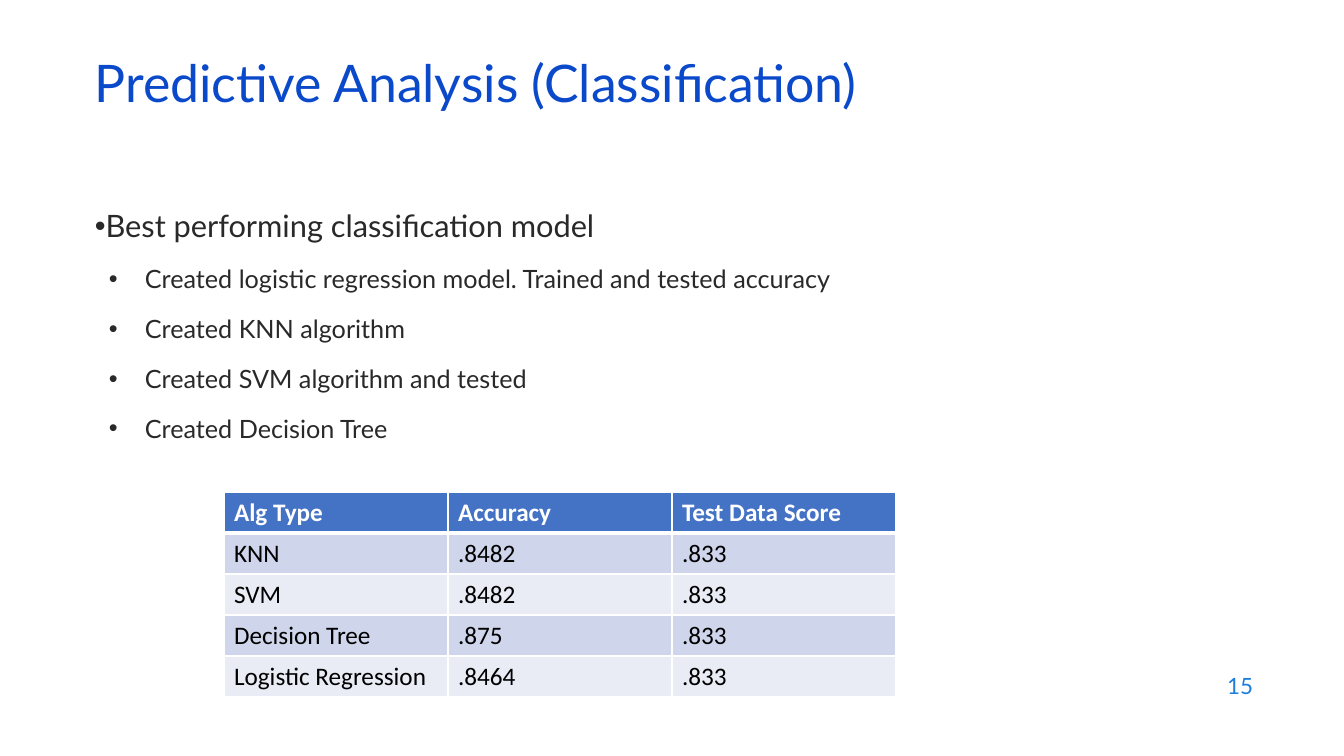
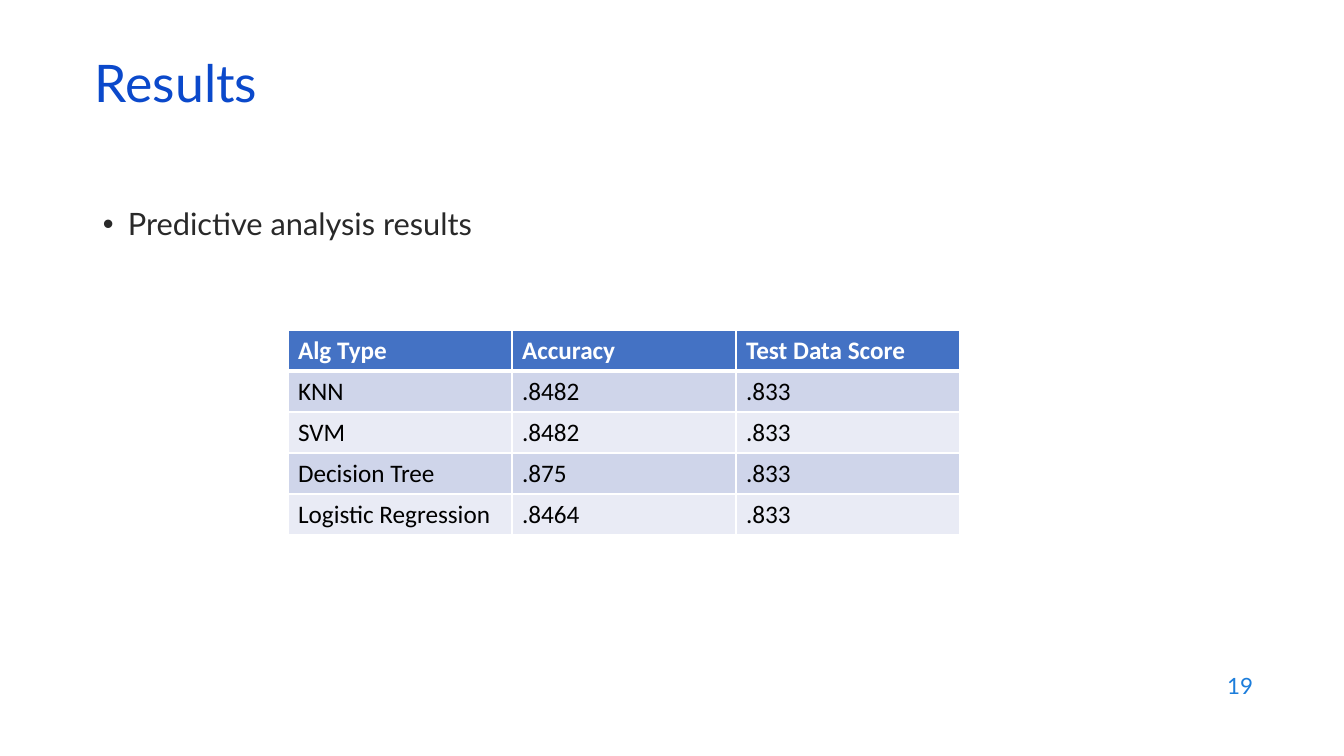
from dataclasses import dataclass

from lxml import etree
from pptx import Presentation
from pptx.dml.color import RGBColor
from pptx.enum.text import MSO_ANCHOR, PP_ALIGN
from pptx.oxml.ns import qn
from pptx.util import Emu, Pt

TOP, MIDDLE = MSO_ANCHOR.TOP, MSO_ANCHOR.MIDDLE
LEFT, RIGHT = PP_ALIGN.LEFT, PP_ALIGN.RIGHT
EMU_PER_PX = 914400 / 100.8
SLIDE_SIZE = (1344, 756)


@dataclass(frozen=True)
class Theme:
    text_font: str = "Lato"
    table_font: str = "Calibri"
    title: str = "0B49CB"
    body: str = "292929"
    number: str = "1C7DDB"
    header_fill: str = "4472C4"
    header_text: str = "FFFFFF"
    cell_text: str = "000000"
    bands: tuple = ("CFD5EA", "E9EBF5")
    rule: str = "FFFFFF"
    title_pt: int = 37
    bullet_pt: int = 22
    sub_bullet_pt: int = 18
    number_pt: int = 16
    table_pt: int = 18
    bullet_gap_pt: int = 14
    rule_pt: int = 1
    header_rule_pt: int = 3


THEME = Theme()
TITLE_BOX = (85, 59, 1159, 60)
NUMBER_BOX = (961, 664, 302, 44)
COLUMN_WIDTH, ROW_HEIGHT = 224, 41

MODEL_SCORES = [
    ("Alg Type", "Accuracy", "Test Data Score"),
    ("KNN", ".8482", ".833"),
    ("SVM", ".8482", ".833"),
    ("Decision Tree", ".875", ".833"),
    ("Logistic Regression", ".8464", ".833"),
]
CLASSIFICATION_STEPS = [
    "Created logistic regression model. Trained and tested accuracy",
    "Created KNN algorithm",
    "Created SVM algorithm and tested",
    "Created Decision Tree",
]


def px(length):
    return Emu(round(length * EMU_PER_PX))


def style_font(font, name, size, color, bold=False):
    values = {"name": name, "size": Pt(size), "bold": bold}
    for attribute, value in values.items():
        setattr(font, attribute, value)
    font.color.rgb = RGBColor.from_string(color)


def add_text_frame(slide, box, anchor):
    frame = slide.shapes.add_textbox(*map(px, box)).text_frame
    frame.word_wrap = True
    frame.vertical_anchor = anchor
    return frame


def add_line_of_text(slide, box, text, size, color, align=LEFT, spacing=1.0):
    paragraph = add_text_frame(slide, box, MIDDLE).paragraphs[0]
    paragraph.text = text
    paragraph.alignment = align
    paragraph.line_spacing = spacing
    style_font(paragraph.font, THEME.text_font, size, color)


def add_slide(deck, title, number):
    slide = deck.slides.add_slide(deck.slide_layouts[6])
    add_line_of_text(slide, TITLE_BOX, title, THEME.title_pt, THEME.title,
                     spacing=0.7)
    add_line_of_text(slide, NUMBER_BOX, number, THEME.number_pt, THEME.number,
                     align=RIGHT)
    return slide


def set_bullet(paragraph, margin, hanging):
    """Give the paragraph a round bullet that hangs left of its margin."""
    properties = paragraph._p.get_or_add_pPr()
    properties.set("marL", str(px(margin)))
    properties.set("indent", str(-px(hanging)))
    etree.SubElement(properties, qn("a:buFont"), typeface="Arial")
    etree.SubElement(properties, qn("a:buChar"), char="•")


def add_bullets(slide, box, heading, hanging, steps=()):
    """Write a heading bullet and, below it, one sub-bullet for each step."""
    frame = add_text_frame(slide, box, TOP)
    bullets = [(heading, 0, hanging, hanging, THEME.bullet_pt)]
    bullets += [(step, 1, 50, 36, THEME.sub_bullet_pt) for step in steps]
    for index, (text, level, margin, hang, size) in enumerate(bullets):
        paragraph = frame.add_paragraph() if index else frame.paragraphs[0]
        paragraph.text = text
        paragraph.level = level
        set_bullet(paragraph, margin, hang)
        if index:
            paragraph.space_before = Pt(THEME.bullet_gap_pt)
        style_font(paragraph.font, THEME.text_font, size, THEME.body)


def set_borders(cell, top, bottom):
    widths = {"a:lnL": THEME.rule_pt, "a:lnR": THEME.rule_pt,
              "a:lnT": top, "a:lnB": bottom}
    properties = cell._tc.get_or_add_tcPr()
    for position, (tag, width) in enumerate(widths.items()):
        line = etree.Element(qn(tag), w=str(Pt(width)))
        fill = etree.SubElement(line, qn("a:solidFill"))
        etree.SubElement(fill, qn("a:srgbClr"), val=THEME.rule)
        properties.insert(position, line)


def style_cell(cell, row):
    is_header = row == 0
    fill = THEME.header_fill if is_header else THEME.bands[(row - 1) % 2]
    color = THEME.header_text if is_header else THEME.cell_text
    cell.fill.solid()
    cell.fill.fore_color.rgb = RGBColor.from_string(fill)
    set_borders(cell,
                top=THEME.header_rule_pt if row == 1 else THEME.rule_pt,
                bottom=THEME.header_rule_pt if is_header else THEME.rule_pt)
    style_font(cell.text_frame.paragraphs[0].font, THEME.table_font,
               THEME.table_pt, color, bold=is_header)


def add_score_table(slide, left, top):
    rows, columns = len(MODEL_SCORES), len(MODEL_SCORES[0])
    box = (left, top, columns * COLUMN_WIDTH, rows * ROW_HEIGHT)
    table = slide.shapes.add_table(rows, columns, *map(px, box)).table
    for column in table.columns:
        column.width = px(COLUMN_WIDTH)
    for row, values in enumerate(MODEL_SCORES):
        table.rows[row].height = px(ROW_HEIGHT)
        for column, value in enumerate(values):
            cell = table.cell(row, column)
            cell.text = value
            style_cell(cell, row)


def add_classification_slide(deck):
    slide = add_slide(deck, "Predictive Analysis (Classification)", "15")
    add_bullets(slide, (85, 202, 1075, 480),
                "Best performing classification model", 0, CLASSIFICATION_STEPS)
    add_score_table(slide, 224, 492)


def add_results_slide(deck):
    slide = add_slide(deck, "Results", "19")
    add_bullets(slide, (93, 200, 1206, 509), "Predictive analysis results", 25)
    add_score_table(slide, 288, 330)


def main():
    deck = Presentation()
    deck.slide_width, deck.slide_height = map(px, SLIDE_SIZE)
    add_classification_slide(deck)
    add_results_slide(deck)
    deck.save("out.pptx")


if __name__ == "__main__":
    main()
